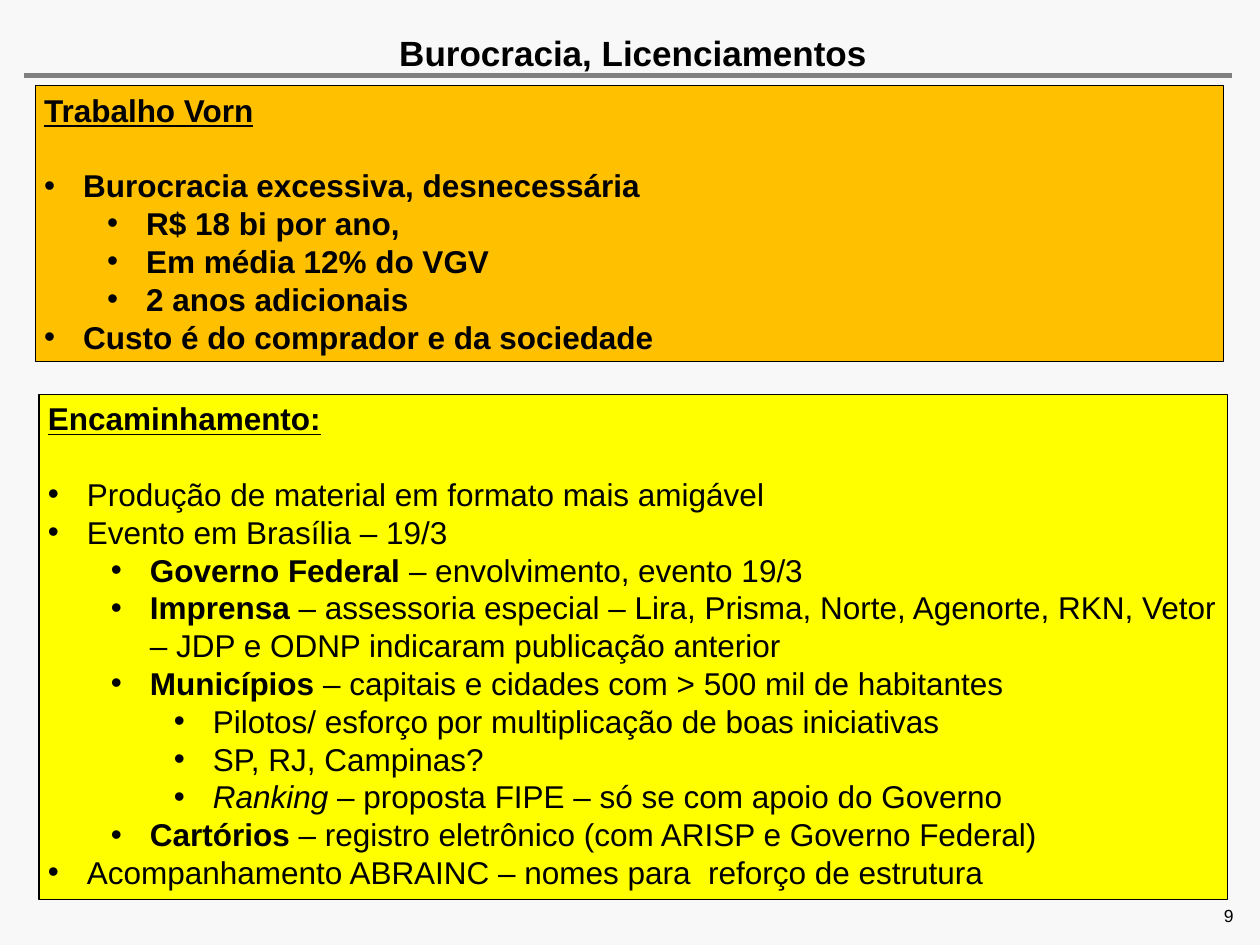
from lxml import etree
from pptx import Presentation
from pptx.dml.color import RGBColor
from pptx.enum import shapes, text
from pptx.oxml.ns import qn
from pptx.util import Inches, Pt


def color(hex_code):
    return RGBColor.from_string(hex_code)


def add_run(paragraph, wording, size, style=""):
    """Add a run; style holds any of the letters b, i and u."""
    run = paragraph.add_run()
    run.text = wording
    font = run.font
    font.name = "Arial"
    font.size = Pt(size)
    font.color.rgb = color("000000")
    font.bold = "b" in style
    font.italic = "i" in style
    font.underline = "u" in style


presentation = Presentation()
presentation.slide_width = Inches(10)
presentation.slide_height = Inches(7.5)
slide = presentation.slides.add_slide(presentation.slide_layouts.get_by_name("Two Content"))
slide.background.fill.solid()
slide.background.fill.fore_color.rgb = color("F8F8F8")

# Title and the rule under it
title = slide.shapes.title
title.left, title.top, title.width, title.height = map(Inches, (0.27, 0.25, 9.51, 0.35))
title_frame = title.text_frame
title_frame.margin_left = title_frame.margin_right = 0
title_frame.margin_top = title_frame.margin_bottom = 0
title_frame.auto_size = text.MSO_AUTO_SIZE.NONE
title_frame.vertical_anchor = text.MSO_ANCHOR.TOP
title_frame.paragraphs[0].alignment = text.PP_ALIGN.CENTER
add_run(title_frame.paragraphs[0], "Burocracia, Licenciamentos", 20, "b")

rule = slide.shapes.add_connector(
    shapes.MSO_CONNECTOR.STRAIGHT, Inches(0.19), Inches(0.6), Inches(9.78), Inches(0.6))
rule.line.color.rgb = color("808080")
rule.line.width = Pt(3.2)
etree.SubElement(rule._element.spPr, qn("a:effectLst"))

# Each list item is a level followed by its (wording, style) runs
study_items = [
    (0, ("Burocracia excessiva, desnecessária", "b")),
    (1, ("R$ 18 bi por ano,", "b")),
    (1, ("Em média 12% do VGV", "b")),
    (1, ("2 anos adicionais", "b")),
    (0, ("Custo é do comprador e da sociedade", "b")),
]
action_items = [
    (0, ("Produção de material em formato mais amigável", "")),
    (0, ("Evento em Brasília – 19/3", "")),
    (1, ("Governo Federal ", "b"), ("– envolvimento, evento 19/3", "")),
    (1, ("Imprensa", "b"),
     (" – assessoria especial – Lira, Prisma, Norte, Agenorte, RKN, "
      "Vetor – JDP e ODNP indicaram publicação anterior", "")),
    (1, ("Municípios ", "b"), ("– capitais e cidades com > 500 mil de habitantes", "")),
    (2, ("Pilotos/ esforço por multiplicação de boas iniciativas", "")),
    (2, ("SP, RJ, Campinas?", "")),
    (2, ("Ranking ", "i"), ("– proposta FIPE – só se com apoio do Governo", "")),
    (1, ("Cartórios", "b"), (" – registro eletrônico (com ARISP e Governo Federal)", "")),
    (0, ("Acompanhamento ABRAINC – nomes para  reforço de estrutura", "")),
]
panels = [
    (1, 0.28, 0.68, 2.19, "FFC000", "Trabalho Vorn", study_items),
    (2, 0.31, 3.13, 4.01, "FFFF00", "Encaminhamento:", action_items),
]
line_height = Pt(21.6)

for index, left, top, height, fill, heading, items in panels:
    panel = slide.placeholders[index]
    panel.left, panel.top, panel.width, panel.height = map(Inches, (left, top, 9.43, height))
    panel.fill.solid()
    panel.fill.fore_color.rgb = color(fill)
    panel.line.color.rgb = color("000000")
    panel.line.width = Pt(0.75)
    frame = panel.text_frame
    frame.word_wrap = True
    frame.auto_size = text.MSO_AUTO_SIZE.NONE
    frame.vertical_anchor = text.MSO_ANCHOR.TOP
    frame.margin_left = frame.margin_right = Inches(0.07)
    frame.margin_top = frame.margin_bottom = Inches(0.04)

    paragraph = frame.paragraphs[0]
    properties = paragraph._p.get_or_add_pPr()
    properties.set("marL", "0")
    properties.set("indent", "0")
    etree.SubElement(properties, qn("a:buNone"))
    paragraph.line_spacing = line_height
    paragraph.space_before = Pt(0)
    paragraph.space_after = line_height
    add_run(paragraph, heading, 18, "bu")

    for level, *runs in items:
        paragraph = frame.add_paragraph()
        paragraph.level = level
        properties = paragraph._p.get_or_add_pPr()
        properties.set("marL", str(Inches(0.31 + 0.5 * level)))
        properties.set("indent", str(Inches(-0.31)))
        etree.SubElement(properties, qn("a:buFont"), typeface="Arial")
        etree.SubElement(properties, qn("a:buChar"), char="•")
        paragraph.line_spacing = line_height
        paragraph.space_before = Pt(0)
        for wording, style in runs:
            add_run(paragraph, wording, 18, style)

# Page number
page_box = slide.shapes.add_textbox(Inches(7.45), Inches(7.18), Inches(2.34), Inches(0.17))
page_frame = page_box.text_frame
page_frame.word_wrap = True
page_frame.margin_left = page_frame.margin_right = 0
page_frame.margin_top = page_frame.margin_bottom = 0
page_frame.vertical_anchor = text.MSO_ANCHOR.BOTTOM
page_frame.paragraphs[0].alignment = text.PP_ALIGN.RIGHT
add_run(page_frame.paragraphs[0], "9", 10)

presentation.save("out.pptx")
